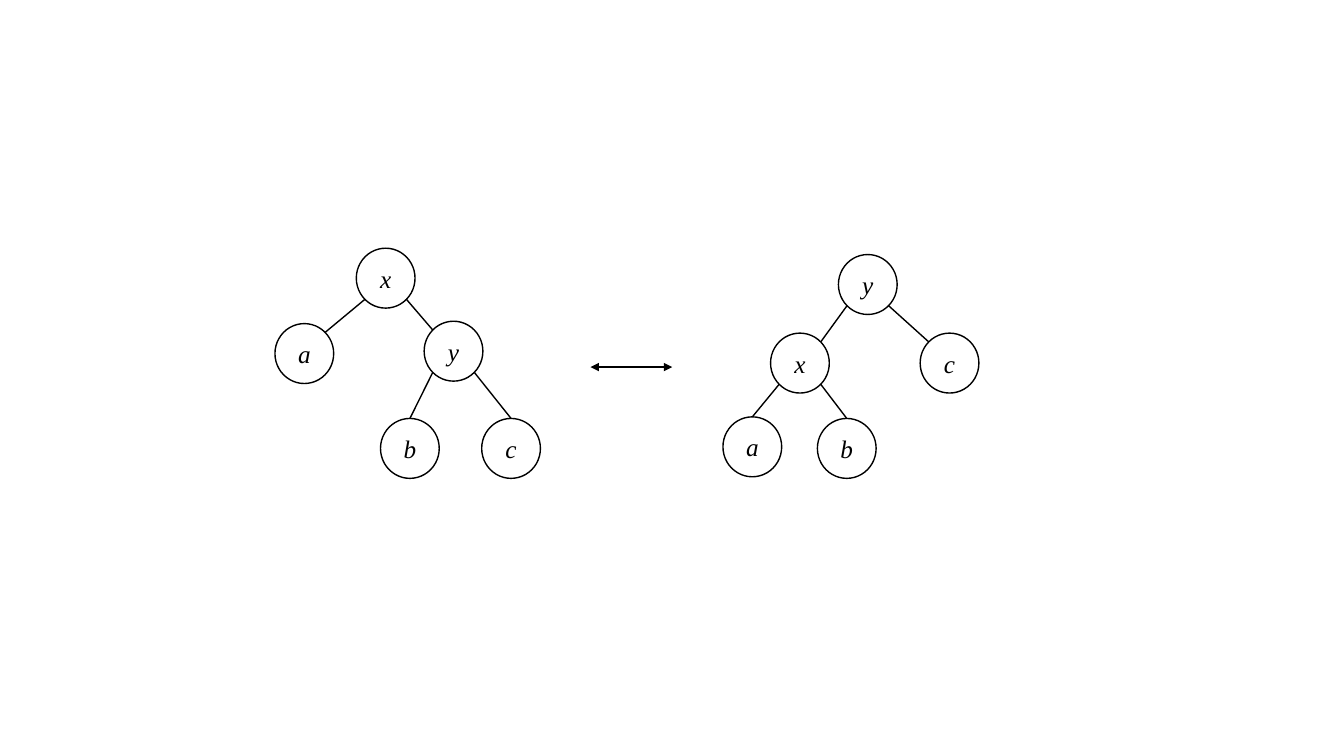
import math
import pptx
import pptx.dml.color
import pptx.enum.shapes
import pptx.enum.text
import pptx.oxml
import pptx.oxml.ns
import pptx.util

Cm, Pt = pptx.util.Cm, pptx.util.Pt
RGB = pptx.dml.color.RGBColor

# Content: node centres in cm, then edges as (parent, child, side)
LEFT, RIGHT = -1, 1
TREES = [
    {
        "nodes": {"y": (21.87, 7.17), "x": (20.16, 9.15), "c": (23.93, 9.15),
                  "a": (18.96, 11.26), "b": (21.34, 11.30)},
        "edges": [("y", "x", LEFT), ("y", "c", RIGHT),
                  ("x", "a", LEFT), ("x", "b", RIGHT)],
    },
    {
        "nodes": {"x": (9.72, 7.01), "a": (7.67, 8.91), "y": (11.43, 8.85),
                  "b": (10.33, 11.30), "c": (12.88, 11.30)},
        "edges": [("x", "a", LEFT), ("x", "y", RIGHT),
                  ("y", "b", LEFT), ("y", "c", RIGHT)],
    },
]
ARROW = (14.88, 9.25, 16.94, 9.25)
WIDE, HIGH = 1.48, 1.51
INSET = 0.1

THEME = {
    "ink": RGB(0, 0, 0),
    "fill": RGB(255, 255, 255),
    "font": "Times New Roman",
    "size": Pt(18),
    "thin": Pt(1),
    "bold": Pt(1.5),
}


def add_node(shapes, label, x, y):
    node = shapes.add_shape(
        pptx.enum.shapes.MSO_SHAPE.OVAL,
        Cm(x - WIDE / 2), Cm(y - HIGH / 2), Cm(WIDE), Cm(HIGH))
    node.shadow.inherit = False
    node.fill.solid()
    node.fill.fore_color.rgb = THEME["fill"]
    node.line.color.rgb = THEME["ink"]
    node.line.width = THEME["thin"]
    frame = node.text_frame
    frame.margin_left = frame.margin_right = Cm(INSET)
    frame.margin_top = frame.margin_bottom = Cm(INSET)
    frame.vertical_anchor = pptx.enum.text.MSO_ANCHOR.MIDDLE
    para = frame.paragraphs[0]
    para.text = label
    para.alignment = pptx.enum.text.PP_ALIGN.CENTER
    para.font.name = THEME["font"]
    para.font.size = THEME["size"]
    para.font.italic = True
    para.font.color.rgb = THEME["ink"]
    return node


def add_line(shapes, ends, width):
    line = shapes.add_connector(
        pptx.enum.shapes.MSO_CONNECTOR.STRAIGHT, *map(Cm, ends))
    line.line.color.rgb = THEME["ink"]
    line.line.width = width
    add_part(line._element.spPr, "a:effectLst")
    return line


def add_part(parent, tag):
    part = pptx.oxml.xmlchemy.OxmlElement(tag)
    parent.append(part)
    return part


def add_tree(shapes, nodes, edges):
    group = shapes.add_group_shape().shapes
    ovals = {label: add_node(group, label, *spot)
             for label, spot in nodes.items()}
    root = edges[0][0]
    dx, dy = (size / 2 * math.sqrt(0.5) for size in (WIDE, HIGH))
    for parent, child, side in edges:
        px, py = nodes[parent]
        cx, cy = nodes[child]
        start = (px + side * dx, py + dy)
        # Edges from the root meet the child's shoulder, others its top
        if parent == root:
            add_line(group, (*start, cx - side * dx, cy - dy), THEME["thin"])
        else:
            line = add_line(group, (*start, cx, cy - HIGH / 2), THEME["thin"])
            line.end_connect(ovals[child], 0)


def main():
    deck = pptx.Presentation()
    deck.slide_width, deck.slide_height = Cm(33.87), Cm(19.05)
    shapes = deck.slides.add_slide(deck.slide_layouts[6]).shapes

    # Two-way arrow between the trees
    arrow = add_line(shapes, ARROW, THEME["bold"])
    stroke = arrow.line._get_or_add_ln()
    for tag in ("a:headEnd", "a:tailEnd"):
        add_part(stroke, tag).set("type", "triangle")

    # Trees before and after rotation
    for tree in TREES:
        add_tree(shapes, **tree)

    deck.save("out.pptx")


if __name__ == "__main__":
    main()
